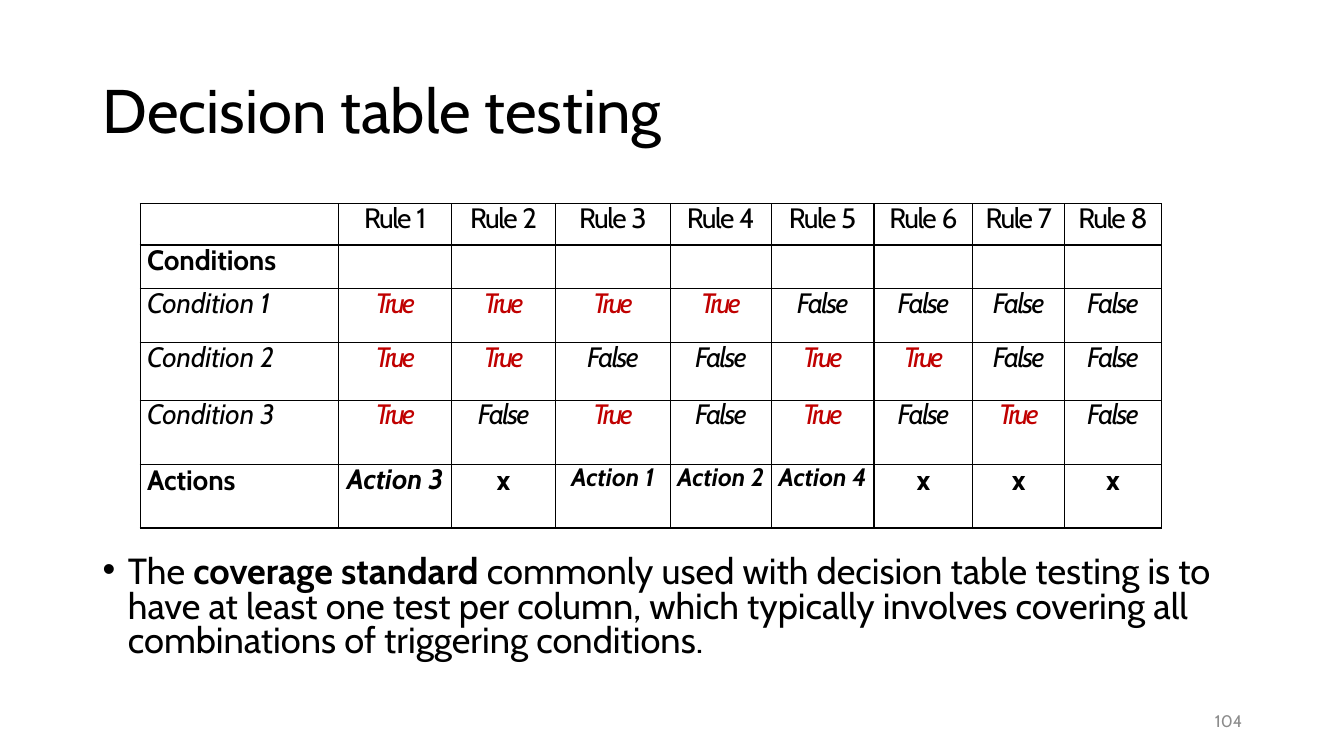
"""Build the decision table testing slide."""
import dataclasses
import itertools
import typing

import lxml.etree
import pptx
import pptx.dml.color
import pptx.enum.text
import pptx.oxml
import pptx.oxml.ns
import pptx.util

Inches = pptx.util.Inches
Pt = pptx.util.Pt
ALIGN = pptx.enum.text.PP_ALIGN
ANCHOR = pptx.enum.text.MSO_ANCHOR
qn = pptx.oxml.ns.qn

FONT = "Cabin"
BLACK = pptx.dml.color.RGBColor(0x00, 0x00, 0x00)
RED = pptx.dml.color.RGBColor(0xC0, 0x00, 0x00)
GREY = pptx.dml.color.RGBColor(0x8C, 0x8C, 0x8C)

COLUMN_WIDTHS = (1.97, 1.12, 1.03, 1.14, 1, 1.02, 0.98, 0.91, 0.96)
ROW_HEIGHTS = (0.41, 0.43, 0.54, 0.57, 0.64, 0.63)
RULE_COUNT = 8
CONDITION_COUNT = 3
ACTIONS = ("Action 3", "x", "Action 1", "Action 2", "Action 4", "x", "x", "x")


@dataclasses.dataclass(frozen=True)
class Entry:
    text: str = ""
    size: float = 20
    bold: bool = False
    italic: bool = False
    color: pptx.dml.color.RGBColor = BLACK
    tracking: float = 0
    leading: float = 22.8
    last_tracking: typing.Optional[float] = None


def write(paragraph, text: str, *, size: float, bold: bool = False, italic: bool = False,
          color: pptx.dml.color.RGBColor = BLACK, tracking: float = 0) -> None:
    run = paragraph.add_run()
    run.text = text
    run.font.name = FONT
    run.font.size = Pt(size)
    run.font.bold = bold
    run.font.italic = italic
    run.font.color.rgb = color
    if tracking:
        run._r.get_or_add_rPr().set("spc", str(round(tracking * 100)))


def outline(cell) -> None:
    properties = cell._tc.get_or_add_tcPr()
    for side in ("a:lnL", "a:lnR", "a:lnT", "a:lnB"):
        line = lxml.etree.SubElement(properties, qn(side), w=str(Pt(1)))
        fill = lxml.etree.SubElement(line, qn("a:solidFill"))
        lxml.etree.SubElement(fill, qn("a:srgbClr"), val=str(BLACK))


def fill_cell(cell, entry: Entry, is_label: bool) -> None:
    outline(cell)
    cell.fill.background()
    cell.margin_left = Inches(0.07 if is_label else 0)
    cell.margin_right = cell.margin_top = cell.margin_bottom = 0
    if not entry.text:
        return
    paragraph = cell.text_frame.paragraphs[0]
    paragraph.alignment = ALIGN.LEFT if is_label else ALIGN.CENTER
    paragraph.line_spacing = Pt(entry.leading)
    look = dict(size=entry.size, bold=entry.bold, italic=entry.italic, color=entry.color)
    if entry.last_tracking is None:
        write(paragraph, entry.text, tracking=entry.tracking, **look)
    else:
        write(paragraph, entry.text[:-1], tracking=entry.tracking, **look)
        write(paragraph, entry.text[-1], tracking=entry.last_tracking, **look)


def truth_entry(holds: bool) -> Entry:
    if holds:
        return Entry("True", italic=True, color=RED, tracking=-1.9)
    return Entry("False", italic=True, tracking=-1.2)


def action_entry(action: str, rule: int) -> Entry:
    if action == "x":
        return Entry(action, bold=True, leading=23.6)
    if rule == 1:
        return Entry(action, bold=True, italic=True)
    return Entry(action, size=18, bold=True, italic=True, leading=20.5)


def decision_rows() -> list[list[Entry]]:
    rules = range(1, RULE_COUNT + 1)
    headings = [Entry(f"Rule {rule}", tracking=-1.1, last_tracking=-0.3) for rule in rules]
    rows = [[Entry(), *headings],
            [Entry("Conditions", bold=True, tracking=-0.1, leading=23.4), *[Entry()] * RULE_COUNT]]
    outcomes = zip(*itertools.product((True, False), repeat=CONDITION_COUNT))
    for number, values in enumerate(outcomes, start=1):
        label = Entry(f"Condition {number}", italic=True, tracking=-0.1, last_tracking=0)
        rows.append([label, *map(truth_entry, values)])
    rows.append([Entry("Actions", bold=True, tracking=-0.1, leading=23.4),
                 *map(action_entry, ACTIONS, rules)])
    return rows


def add_decision_table(slide) -> None:
    table = slide.shapes.add_table(
        len(ROW_HEIGHTS), len(COLUMN_WIDTHS), Inches(1.39), Inches(2.02),
        Inches(sum(COLUMN_WIDTHS)), Inches(sum(ROW_HEIGHTS))).table
    table.first_row = False
    table.horz_banding = False
    for column, width in zip(table.columns, COLUMN_WIDTHS):
        column.width = Inches(width)
    for row, height, entries in zip(table.rows, ROW_HEIGHTS, decision_rows()):
        row.height = Inches(height)
        for index, (cell, entry) in enumerate(zip(row.cells, entries)):
            fill_cell(cell, entry, is_label=index == 0)


def add_title(slide) -> None:
    title = slide.shapes.title
    title.left, title.top = Inches(0.92), Inches(0.4)
    title.width, title.height = Inches(11.5), Inches(1.45)
    title.text_frame.auto_size = pptx.enum.text.MSO_AUTO_SIZE.NONE
    title.text_frame.vertical_anchor = ANCHOR.MIDDLE
    heading = title.text_frame.paragraphs[0]
    heading.alignment = ALIGN.LEFT
    heading.line_spacing = 0.9
    write(heading, "Decision table testing", size=44)


def add_coverage_note(slide) -> None:
    frame = slide.shapes.add_textbox(Inches(0.92), Inches(5.47), Inches(11.5), Inches(1.29)).text_frame
    frame.word_wrap = True
    note = frame.paragraphs[0]
    properties = note._p.get_or_add_pPr()
    properties.set("marL", str(Inches(0.25)))
    properties.set("indent", str(Inches(-0.25)))
    lxml.etree.SubElement(properties, qn("a:buFont"), typeface="Arial")
    lxml.etree.SubElement(properties, qn("a:buChar"), char="•")
    note.line_spacing = 0.8
    write(note, "The ", size=25.9)
    write(note, "coverage standard ", size=25.9, bold=True)
    write(note, "commonly used with decision table testing is to have at least one test per column, "
          "which typically involves covering all combinations of triggering conditions.", size=25.9)


def add_page_number(slide) -> None:
    frame = slide.shapes.add_textbox(Inches(9.42), Inches(6.95), Inches(3), Inches(0.4)).text_frame
    frame.word_wrap = True
    frame.vertical_anchor = ANCHOR.MIDDLE
    number = frame.paragraphs[0]
    number.alignment = ALIGN.RIGHT
    write(number, "104", size=12, color=GREY)


def main() -> None:
    deck = pptx.Presentation()
    deck.slide_width, deck.slide_height = Inches(13.33), Inches(7.5)
    slide = deck.slides.add_slide(deck.slide_layouts[5])
    add_title(slide)
    add_coverage_note(slide)
    add_page_number(slide)
    add_decision_table(slide)
    deck.save("out.pptx")


if __name__ == "__main__":
    main()
